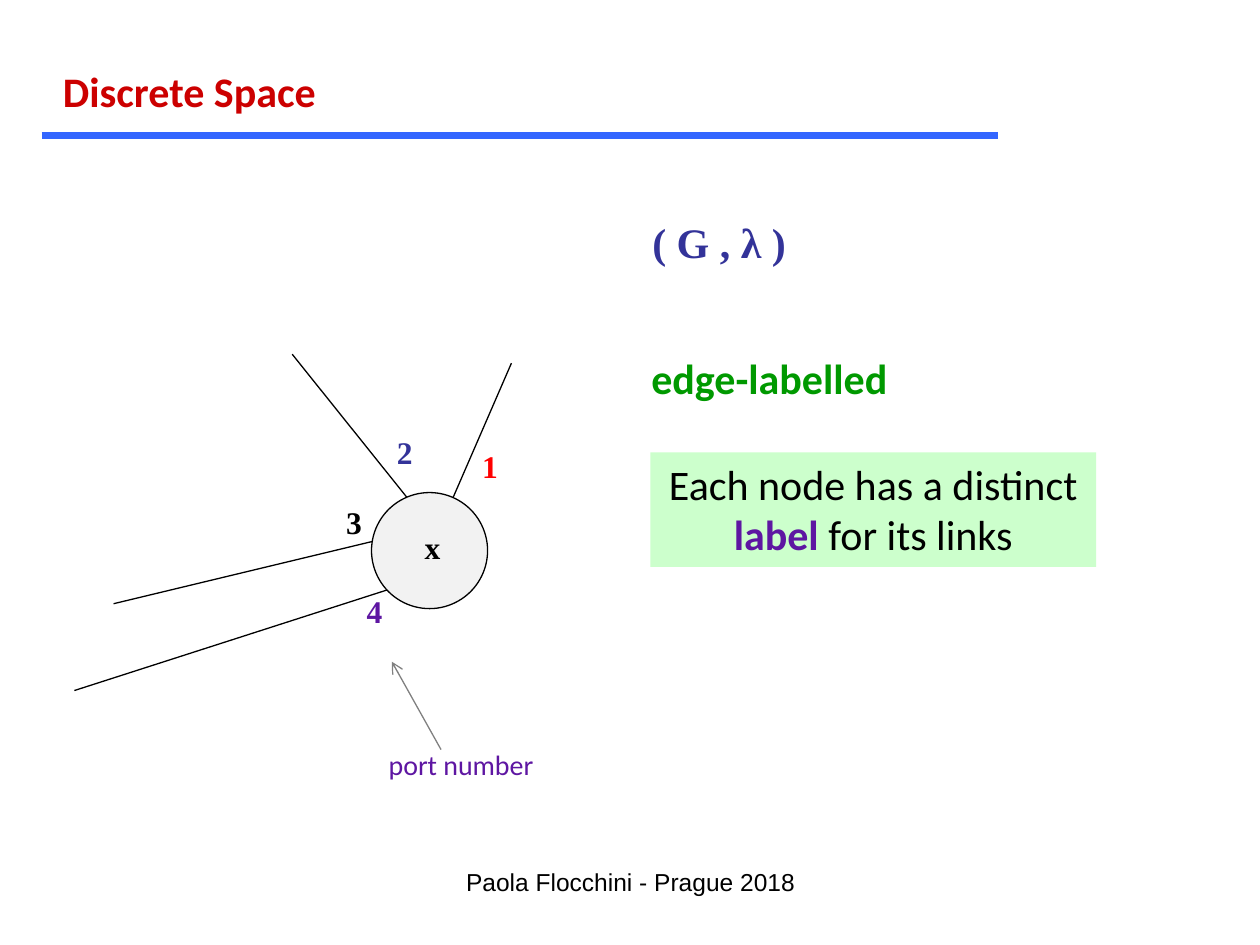
import pptx
import pptx.util
import pptx.dml.color
import pptx.enum.shapes
import pptx.enum.text
import pptx.oxml.ns
import lxml.etree
from pptx.util import Cm

COLOURS = {
    "black": "000000", "red": "FF0000", "navy": "333399", "purple": "5E16A2",
    "green": "009900", "mint": "CCFFCC", "grey": "808080", "pale": "F2F2F2",
    "crimson": "CC0000", "blue": "3366FF",
}
SERIF, SANS = "Times New Roman", "Calibri"


def colour(name):
    return pptx.dml.color.RGBColor.from_string(COLOURS[name])


def write(box, lines, font, size, wrap=True, centred=False):
    frame = box.text_frame
    frame.word_wrap = wrap
    frame.vertical_anchor = pptx.enum.text.MSO_ANCHOR.TOP
    align = pptx.enum.text.PP_ALIGN
    for number, line in enumerate(lines):
        paragraph = frame.add_paragraph() if number else frame.paragraphs[0]
        paragraph.alignment = align.CENTER if centred else align.LEFT
        for words, ink, bold in line:
            run = paragraph.add_run()
            run.text = words
            run.font.name = font
            run.font.size = pptx.util.Pt(size)
            run.font.bold = bold
            run.font.color.rgb = colour(ink)


deck = pptx.Presentation()
deck.slide_width, deck.slide_height = Cm(25.4), Cm(19.05)
slide = deck.slides.add_slide(deck.slide_layouts[6])
shapes = slide.shapes

strokes = [
    (8.43, 10.31, 5.89, 7.14, "black", 0.75),
    (7.57, 10.9, 2.29, 12.17, "black", 0.75),
    (10.31, 7.32, 9.09, 10.13, "black", 0.75),
    (1.5, 13.92, 8.31, 11.73, "black", 0.75),
    (0.84, 2.74, 20.12, 2.74, "blue", 4),
    (8.89, 15.11, 7.9, 13.34, "grey", 0.75),
]
for x1, y1, x2, y2, ink, weight in strokes:
    stroke = shapes.add_connector(
        pptx.enum.shapes.MSO_CONNECTOR.STRAIGHT, Cm(x1), Cm(y1), Cm(x2), Cm(y2))
    stroke.line.color.rgb = colour(ink)
    stroke.line.width = pptx.util.Pt(weight)
    properties = stroke.element.spPr
    lxml.etree.SubElement(properties, pptx.oxml.ns.qn("a:effectLst"))
    if ink == "grey":
        lxml.etree.SubElement(
            stroke.line._get_or_add_ln(), pptx.oxml.ns.qn("a:tailEnd"), type="arrow")

node = shapes.add_shape(
    pptx.enum.shapes.MSO_SHAPE.OVAL, Cm(7.49), Cm(9.93), Cm(2.34), Cm(2.34))
node.shadow.inherit = False
node.fill.solid()
node.fill.fore_color.rgb = colour("pale")
node.line.color.rgb = colour("black")
node.line.width = pptx.util.Pt(0.75)

definition = shapes.add_shape(
    pptx.enum.shapes.MSO_SHAPE.RECTANGLE, Cm(13.11), Cm(9.12), Cm(8.99), Cm(2.31))
definition.shadow.inherit = False
definition.fill.solid()
definition.fill.fore_color.rgb = colour("mint")
definition.line.fill.background()
write(definition, [
    [("Each node has a distinct", "black", False)],
    [("label", "purple", True), (" for its links", "black", False)],
], SANS, 24, centred=True)

labels = [
    ("1", 9.47, 8.89, 0.89, 1.02, SERIF, 18, "red"),
    ("2", 7.75, 8.61, 0.89, 1.02, SERIF, 18, "navy"),
    ("3", 6.73, 10.01, 0.89, 1.02, SERIF, 18, "black"),
    ("4", 7.14, 11.81, 0.89, 1.02, SERIF, 18, "purple"),
    ("x", 8.31, 10.52, 0.86, 1.02, SERIF, 18, "black"),
    ("( G , λ )", 12.9, 4.24, 3.28, 1.27, SERIF, 24, "navy"),
    ("edge-labelled", 12.88, 6.99, 5.33, 1.27, SANS, 24, "green"),
    ("Discrete Space", 1.02, 1.19, 5.69, 1.27, SANS, 24, "crimson"),
]
for words, left, top, width, height, font, size, ink in labels:
    label = shapes.add_textbox(Cm(left), Cm(top), Cm(width), Cm(height))
    write(label, [[(words, ink, True)]], font, size, wrap=False)

captions = [
    ("port number", 5.89, 14.94, 6.81, 0.94, SANS, 16, "purple"),
    ("Paola Flocchini - Prague 2018", 8.69, 17.35, 8.05, 1.27, "Arial", 14, "black"),
]
for words, left, top, width, height, font, size, ink in captions:
    caption = shapes.add_textbox(Cm(left), Cm(top), Cm(width), Cm(height))
    write(caption, [[(words, ink, False)]], font, size, centred=True)

deck.save("out.pptx")
